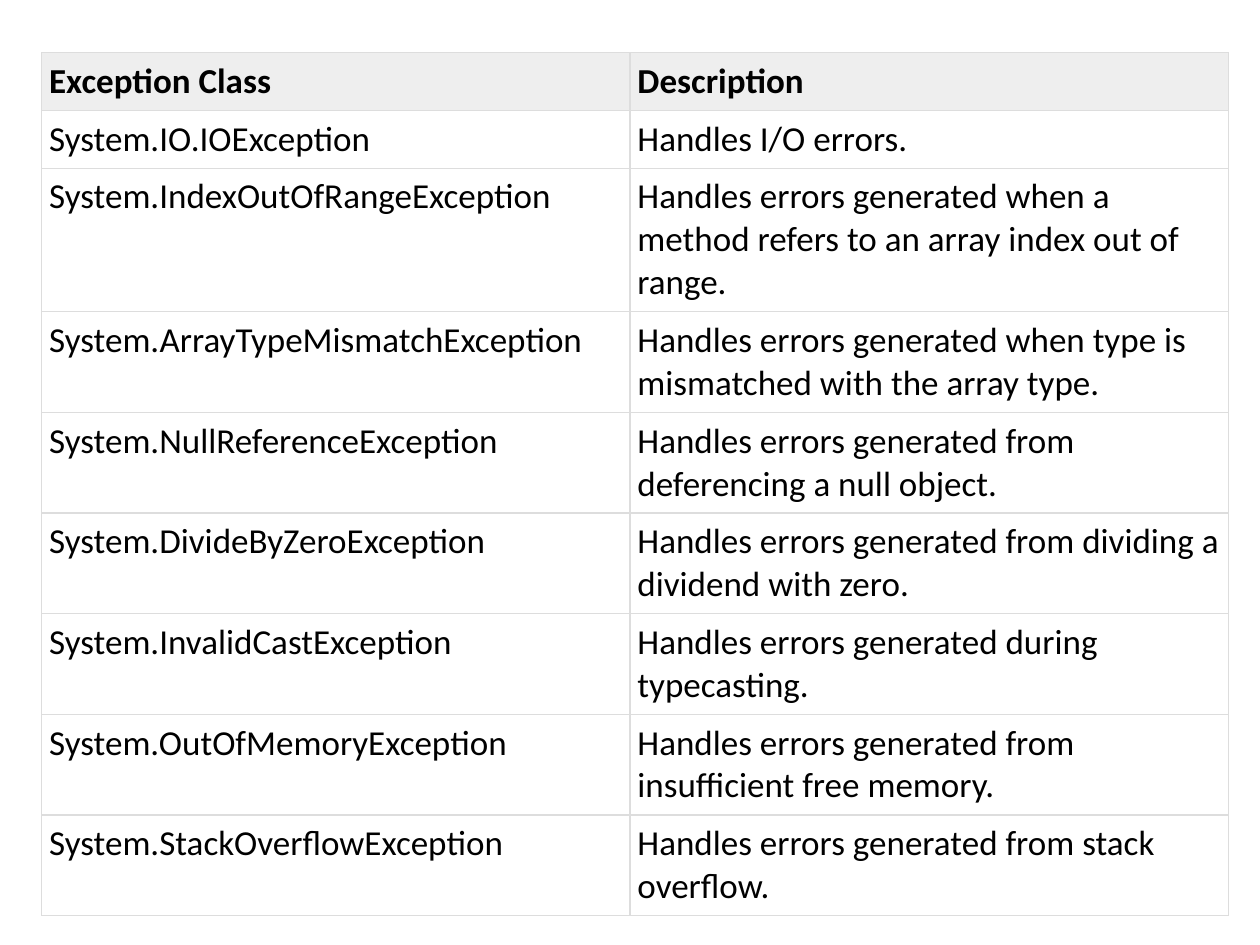
"""Build a slide with a table of system exception classes and what they handle."""
import pptx
import pptx.dml.color
import pptx.enum.text
import pptx.oxml
import pptx.oxml.ns
import pptx.util

Cm = pptx.util.Cm
Pt = pptx.util.Pt
RGBColor = pptx.dml.color.RGBColor

THEME = {
    "text": RGBColor.from_string("000000"),
    "header": RGBColor.from_string("EEEEEE"),
    "border": "DDDDDD",
    "border_width": Pt(0.75),
    "font": "Calibri",
    "size": Pt(20),
}

ROWS = [
    ("Exception Class", "Description"),
    ("System.IO.IOException", "Handles I/O errors."),
    ("System.IndexOutOfRangeException",
     "Handles errors generated when a method refers to an array index out of range."),
    ("System.ArrayTypeMismatchException",
     "Handles errors generated when type is mismatched with the array type."),
    ("System.NullReferenceException",
     "Handles errors generated from deferencing a null object."),
    ("System.DivideByZeroException",
     "Handles errors generated from dividing a dividend with zero."),
    ("System.InvalidCastException", "Handles errors generated during typecasting."),
    ("System.OutOfMemoryException",
     "Handles errors generated from insufficient free memory."),
    ("System.StackOverflowException", "Handles errors generated from stack overflow."),
]
COLUMN_WIDTHS = [Cm(11.86), Cm(12.06)]
ROW_HEIGHTS = [Cm(1.15)] * 2 + [Cm(2.01)] * (len(ROWS) - 2)
CELL_FORMAT = {
    "margin_left": Cm(0.15),
    "margin_right": Cm(0.15),
    "margin_top": Cm(0.15),
    "margin_bottom": Cm(0.15),
    "vertical_anchor": pptx.enum.text.MSO_ANCHOR.TOP,
}


def add_borders(cell):
    properties = cell._tc.get_or_add_tcPr()
    for side in ("lnL", "lnR", "lnT", "lnB"):
        properties.append(pptx.oxml.parse_xml(
            f'<a:{side} {pptx.oxml.ns.nsdecls("a")} w="{THEME["border_width"]}">'
            f'<a:solidFill><a:srgbClr val="{THEME["border"]}"/></a:solidFill>'
            f'</a:{side}>'))


deck = pptx.Presentation()
deck.slide_width, deck.slide_height = Cm(25.4), Cm(19.05)
page = deck.slides.add_slide(deck.slide_layouts[6])

table = page.shapes.add_table(
    len(ROWS), len(COLUMN_WIDTHS), Cm(0.84), Cm(1.06),
    sum(COLUMN_WIDTHS), sum(ROW_HEIGHTS)).table
table.first_row = False
table.horz_banding = False
for column, width in zip(table.columns, COLUMN_WIDTHS):
    column.width = width
for row, height in zip(table.rows, ROW_HEIGHTS):
    row.height = height

for row_number, texts in enumerate(ROWS):
    is_header = row_number == 0
    font_format = {"name": THEME["font"], "size": THEME["size"], "bold": is_header}
    for column_number, text in enumerate(texts):
        cell = table.cell(row_number, column_number)
        for name, value in CELL_FORMAT.items():
            setattr(cell, name, value)
        add_borders(cell)
        if is_header:
            cell.fill.solid()
            cell.fill.fore_color.rgb = THEME["header"]
        else:
            cell.fill.background()
        span = cell.text_frame.paragraphs[0].add_run()
        span.text = text
        for name, value in font_format.items():
            setattr(span.font, name, value)
        span.font.color.rgb = THEME["text"]

deck.save("out.pptx")
